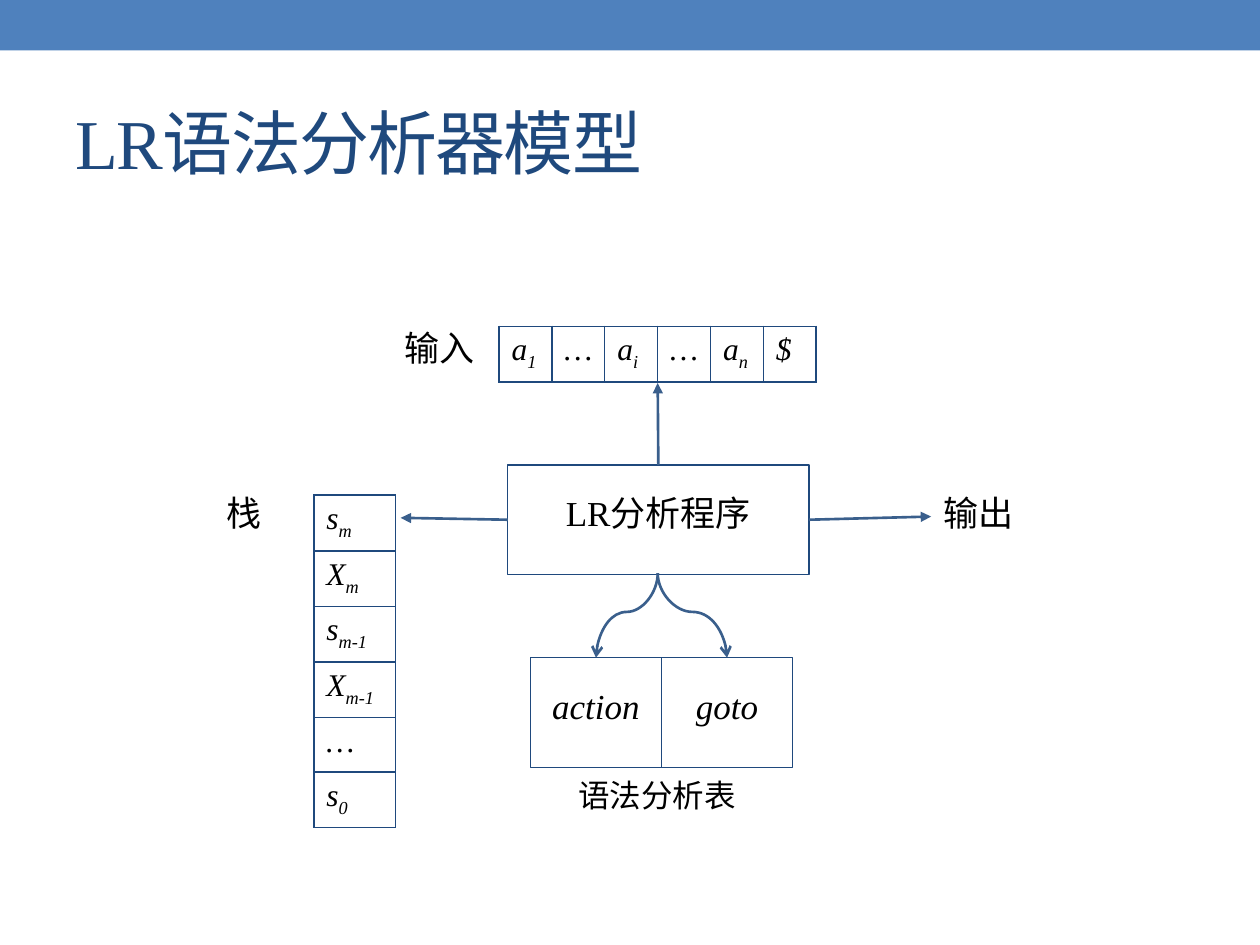
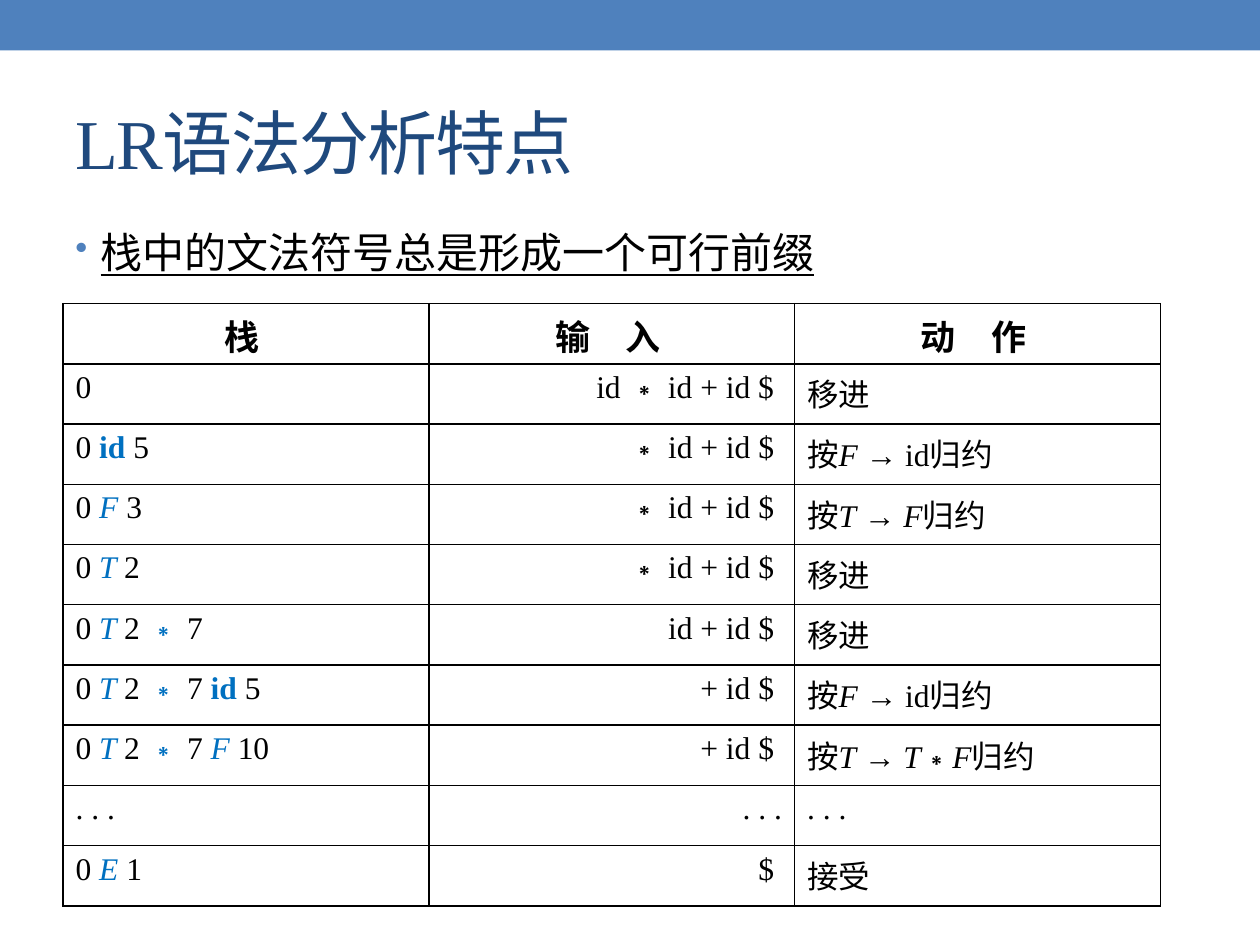
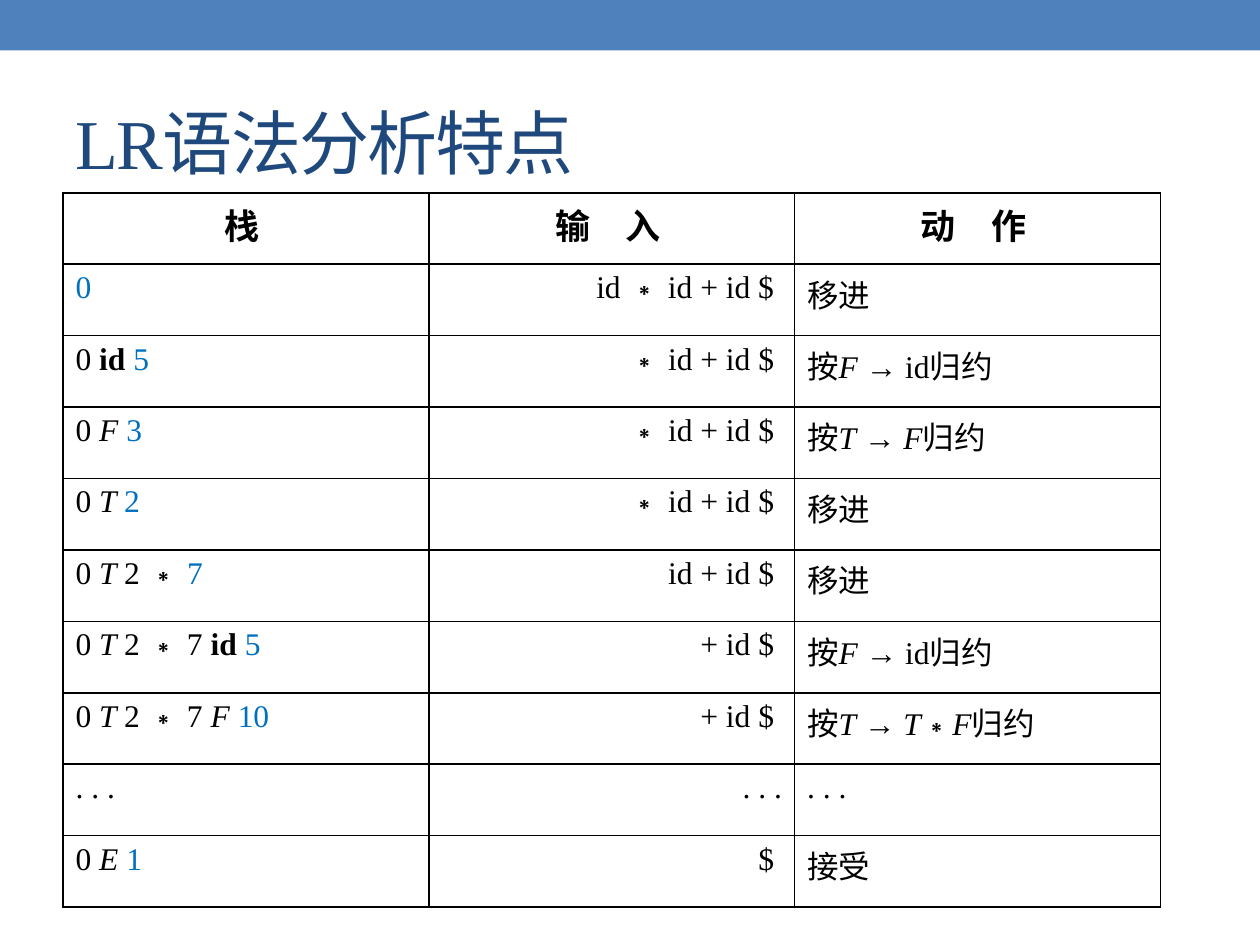
from itertools import groupby

from lxml import etree
from pptx import Presentation
from pptx.dml.color import RGBColor
from pptx.enum.shapes import MSO_CONNECTOR, MSO_SHAPE
from pptx.enum.text import MSO_ANCHOR, PP_ALIGN
from pptx.oxml.ns import qn
from pptx.util import Inches, Pt

RECT = MSO_SHAPE.RECTANGLE
STRAIGHT, CURVE = MSO_CONNECTOR.STRAIGHT, MSO_CONNECTOR.CURVE
LEFT, CENTER, RIGHT = PP_ALIGN.LEFT, PP_ALIGN.CENTER, PP_ALIGN.RIGHT
MIDDLE = MSO_ANCHOR.MIDDLE
TOP_SIDE, LEFT_SIDE, RIGHT_SIDE = 0, 1, 3

COLORS = {"band": "4F81BD", "title": "1F497D", "frame": "1F497D",
          "arrow": "3A5F8C", "text": "000000", "mark": "0070C0"}
SERIF, SANS = "Times New Roman", "Noto Sans CJK SC"
DOTS = ". . ."

# Parse trace: stack, remaining input, action
HEADER = ["栈 ", "输　入 ", "动　作 "]
TRACE = [
    ("0", "id ∗ id + id $ ", "移进"),
    ("0 id 5", "∗ id + id $ ", "按F → id归约"),
    ("0 F 3", "∗ id + id $ ", "按T → F归约"),
    ("0 T 2", "∗ id + id $ ", "移进"),
    ("0 T 2 ∗ 7", "id + id $ ", "移进"),
    ("0 T 2 ∗ 7 id 5", "+ id $ ", "按F → id归约"),
    ("0 T 2 ∗ 7 F 10", "+ id $ ", "按T → T∗F归约"),
    (DOTS, DOTS, DOTS),
    ("0 E 1", "$ ", "接受"),
]


def rgb(name):
    return RGBColor.from_string(COLORS[name])


# Text: runs are (text, format) pairs
def write(tf, runs, align=LEFT, **base):
    p = tf.paragraphs[0]
    p.alignment = align
    for text, extra in runs:
        r = p.add_run()
        r.text = text
        fmt = {"size": 18, "name": SERIF, "color": "text", **base, **extra}
        r.font.color.rgb = rgb(fmt.pop("color"))
        fmt["size"] = Pt(fmt["size"])
        rPr = r._r.get_or_add_rPr()
        for key in ("baseline", "spc"):
            if key in fmt:
                rPr.set(key, str(fmt.pop(key)))
        for key, value in fmt.items():
            setattr(r.font, key, value)
        etree.SubElement(rPr, qn("a:ea"), typeface=SANS)
    return p


def add_text(s, x, y, w, h, text, align=LEFT, **fmt):
    tf = s.shapes.add_textbox(Inches(x), Inches(y), Inches(w), Inches(h)).text_frame
    tf.word_wrap = True
    write(tf, [(text, {})], align, **fmt)
    return tf


def add_bullet(s, x, y, w, h, text, **fmt):
    tf = add_text(s, x, y, w, h, text, **fmt)
    pPr = tf.paragraphs[0]._p.get_or_add_pPr()
    pPr.set("marL", str(Inches(0.2)))
    pPr.set("indent", str(-Inches(0.2)))
    color = etree.SubElement(pPr, qn("a:buClr"))
    etree.SubElement(color, qn("a:srgbClr"), val=COLORS["band"])
    etree.SubElement(pPr, qn("a:buSzPct"), val="85000")
    etree.SubElement(pPr, qn("a:buChar"), char="•")


# Shapes and arrows
def add_box(s, x, y, w, h, text, **fmt):
    sp = s.shapes.add_shape(RECT, Inches(x), Inches(y), Inches(w), Inches(h))
    sp.shadow.inherit = False
    sp.fill.background()
    sp.line.color.rgb = rgb("frame")
    sp.line.width = Pt(0.75)
    tf = sp.text_frame
    tf.word_wrap = True
    tf.vertical_anchor = MSO_ANCHOR.TOP
    tf.margin_top = Inches(0.11)
    write(tf, [(text, {})], CENTER, size=20, **fmt).line_spacing = 1.3
    return sp


def add_arrow(s, kind, x1, y1, x2, y2, head):
    c = s.shapes.add_connector(kind, Inches(x1), Inches(y1), Inches(x2), Inches(y2))
    c.line.color.rgb = rgb("arrow")
    c.line.width = Pt(1.5)
    etree.SubElement(c.line._get_or_add_ln(), qn("a:tailEnd"), type=head)
    etree.SubElement(c._element.spPr, qn("a:effectLst"))
    return c


def add_curve_down(s, x1, y1, x2, y2):
    """A horizontal S-curve turned by 90 degrees about its centre."""
    cx, cy = (x1 + x2) / 2, (y1 + y2) / 2
    half_w, half_h = (x2 - x1) / 2, (y2 - y1) / 2
    c = add_arrow(s, CURVE, cx - half_h, cy + half_w, cx + half_h, cy - half_w, "arrow")
    spPr = c._element.spPr
    spPr.find(qn("a:xfrm")).set("rot", "5400000")
    guides = spPr.find(qn("a:prstGeom")).get_or_add_avLst()
    etree.SubElement(guides, qn("a:gd"), name="adj1", fmla="val 45800")


# Tables: a cell is (runs, alignment, format)
def set_borders(cell, color):
    tcPr = cell._tc.get_or_add_tcPr()
    for i, side in enumerate(("lnL", "lnR", "lnT", "lnB")):
        ln = etree.Element(qn("a:" + side), w=str(Pt(1)))
        fill = etree.SubElement(ln, qn("a:solidFill"))
        etree.SubElement(fill, qn("a:srgbClr"), val=COLORS[color])
        tcPr.insert(i, ln)


def add_grid(s, x, y, w, h, rows, border):
    n_rows, n_cols = len(rows), len(rows[0])
    tbl = s.shapes.add_table(n_rows, n_cols, Inches(x), Inches(y), Inches(w), Inches(h)).table
    tbl.first_row = tbl.horz_banding = False
    for col in tbl.columns:
        col.width = Inches(w / n_cols)
    for row, contents in zip(tbl.rows, rows):
        row.height = Inches(h / n_rows)
        for cell, (runs, align, fmt) in zip(row.cells, contents):
            cell.fill.background()
            set_borders(cell, border)
            write(cell.text_frame, runs, align, **fmt)


def subscripted(text):
    base, _, sub = text.partition("_")
    runs = [(base, {})] + ([(sub, {"baseline": -25000})] if sub else [])
    return runs, LEFT, {"italic": True}


def stack_runs(text, mark_states):
    """Mark either the grammar symbols or the state on top of the stack."""
    if text == DOTS:
        return [(text, {})]
    tokens = text.split()
    runs = []
    for i, token in enumerate(tokens):
        last = i == len(tokens) - 1
        marked = last if mark_states else not token.isdecimal()
        fmt = {"bold": token == "id", "italic": token.isupper(),
               "color": "mark" if marked else "text"}
        runs.append((token if last else token + " ", fmt))
    return runs


def action_runs(text):
    return [("".join(chars), {"italic": upper})
            for upper, chars in groupby(text, str.isupper)]


def add_trace(s, y, h, mark_states):
    rows = [[([(text, {})], CENTER, {"size": 20, "bold": True}) for text in HEADER]]
    for stack, rest, action in TRACE:
        rows.append([(stack_runs(stack, mark_states), LEFT, {}),
                     ([(rest, {})], RIGHT, {}),
                     (action_runs(action), LEFT, {})])
    add_grid(s, 0.5, y, 8.71, h, rows, "text")


# Slides
def new_slide(prs, title):
    s = prs.slides.add_slide(prs.slide_layouts[6])
    band = s.shapes.add_shape(RECT, 0, 0, prs.slide_width, Inches(0.4))
    band.shadow.inherit = False
    band.fill.solid()
    band.fill.fore_color.rgb = rgb("band")
    band.line.fill.background()
    tf = add_text(s, 0.5, 0.58, 9, 1.08, title, size=40, color="title", spc=-100)
    tf.vertical_anchor = MIDDLE
    return s


def model_slide(prs):
    s = new_slide(prs, "LR语法分析器模型")
    # Labels
    for x, y, text in ((3.11, 2.54, "输入"), (7.39, 3.85, "输出"), (1.7, 3.85, "栈")):
        add_text(s, x, y, 0.86, 0.57, text, size=20)
    add_text(s, 4.49, 6.11, 1.54, 0.4, "语法分析表", name=SANS)
    # Program and parsing table
    program = add_box(s, 4.03, 3.69, 2.39, 0.87, "LR分析程序")
    for i, text in enumerate(("action", "goto")):
        x = 4.21 + 1.04 * i
        add_box(s, x, 5.22, 1.04, 0.87, text, italic=True)
        add_curve_down(s, 5.22, 4.55, x + 0.52, 5.22)
    # Arrows from the program to input, output and stack
    for side, x, y in ((TOP_SIDE, 5.22, 3.04), (RIGHT_SIDE, 7.39, 4.1), (LEFT_SIDE, 3.18, 4.11)):
        c = add_arrow(s, STRAIGHT, 5.22, 4.12, x, y, "triangle")
        c.begin_connect(program, side)
    # Input buffer and stack
    buffer = ["a_1", "…", "a_i", "…", "a_n", "$"]
    add_grid(s, 3.96, 2.59, 2.52, 0.41, [[subscripted(t) for t in buffer]], "frame")
    stack = ["s_m", "X_m", "s_m-1", "X_m-1", "…", "s_0"]
    add_grid(s, 2.49, 3.93, 0.65, 2.59, [[subscripted(t)] for t in stack], "frame")


def main():
    prs = Presentation()
    prs.slide_width, prs.slide_height = Inches(10), Inches(7.5)
    model_slide(prs)

    s = new_slide(prs, "LR语法分析特点")
    add_bullet(s, 0.5, 1.75, 9, 5.33, "栈中的文法符号总是形成一个可行前缀",
               size=24, name=SANS, underline=True)
    add_trace(s, 2.41, 4.78, mark_states=False)

    s = new_slide(prs, "LR语法分析特点")
    add_trace(s, 1.53, 5.67, mark_states=True)
    prs.save("out.pptx")


if __name__ == "__main__":
    main()
